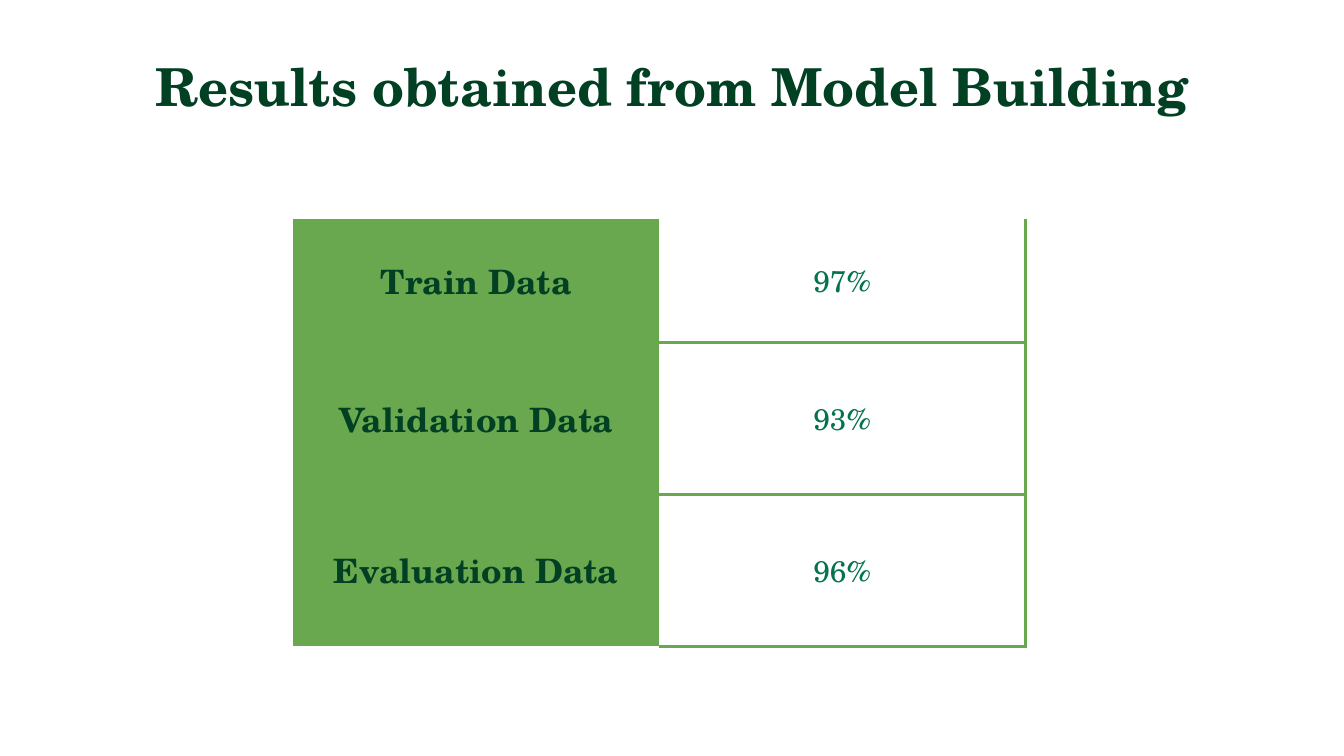
"""Build a slide with a title and a table of model results."""
from lxml import etree
from pptx import Presentation
from pptx.dml.color import RGBColor
from pptx.enum.text import MSO_ANCHOR, PP_ALIGN
from pptx.oxml.ns import qn
from pptx.util import Inches, Pt

CENTER = PP_ALIGN.CENTER
MIDDLE = MSO_ANCHOR.MIDDLE
TOP = MSO_ANCHOR.TOP

TITLE = "Results obtained from Model Building"
RESULTS = [
    ("Train Data", "97%"),
    ("Validation Data", "93%"),
    ("Evaluation Data", "96%"),
]
COLORS = {"dark": "014023", "value": "02734A", "green": "6AA84F", "white": "FFFFFF"}
FONT = "TeX Gyre Schola"
SLIDE_WIDTH = 10
SLIDE_HEIGHT = SLIDE_WIDTH * 9 / 16
TABLE_WIDTH = 5.45
ROW_HEIGHTS = [0.92, 1.13, 1.13]
COLUMN_STYLES = [
    {"size": 18, "bold": True, "color": "dark", "fill": "green"},
    {"size": 16, "bold": False, "color": "value", "fill": "white"},
]
BORDER_WIDTH = 1.5


def format_text(text_frame, size, color, bold):
    paragraph = text_frame.paragraphs[0]
    paragraph.alignment = CENTER
    for run in paragraph.runs:
        run.font.name = FONT
        run.font.size = Pt(size)
        run.font.bold = bold
        run.font.color.rgb = RGBColor.from_string(COLORS[color])


def set_margins(target):
    target.margin_left = target.margin_right = Inches(0.1)
    target.margin_top = target.margin_bottom = Inches(0.1)


def set_borders(cell, visible_sides):
    properties = cell._tc.get_or_add_tcPr()
    for position, side in enumerate("LRTB"):
        line = etree.Element(qn(f"a:ln{side}"), w=str(Pt(BORDER_WIDTH)))
        if side in visible_sides:
            fill = etree.SubElement(line, qn("a:solidFill"))
            etree.SubElement(fill, qn("a:srgbClr"), val=COLORS["green"])
        else:
            etree.SubElement(line, qn("a:noFill"))
        properties.insert(position, line)


def add_title(slide):
    title = slide.shapes.title
    title.left, title.top = Inches(0.78), Inches(0.3)
    title.width, title.height = Inches(8.44), Inches(0.63)
    text_frame = title.text_frame
    text_frame.text = TITLE
    text_frame.word_wrap = True
    text_frame.vertical_anchor = TOP
    set_margins(text_frame)
    format_text(text_frame, 28, "dark", True)


def add_results_table(slide):
    table = slide.shapes.add_table(
        len(RESULTS), len(COLUMN_STYLES), Inches(2.18), Inches(1.63),
        Inches(TABLE_WIDTH), Inches(sum(ROW_HEIGHTS)),
    ).table
    table.first_row = False
    table.horz_banding = False
    for column in table.columns:
        column.width = Inches(TABLE_WIDTH / len(COLUMN_STYLES))
    for row_index, (values, height) in enumerate(zip(RESULTS, ROW_HEIGHTS)):
        table.rows[row_index].height = Inches(height)
        for column_index, (value, style) in enumerate(zip(values, COLUMN_STYLES)):
            cell = table.cell(row_index, column_index)
            cell.text_frame.text = value
            cell.vertical_anchor = MIDDLE
            set_margins(cell)
            cell.fill.solid()
            cell.fill.fore_color.rgb = RGBColor.from_string(COLORS[style["fill"]])
            format_text(cell.text_frame, style["size"], style["color"], style["bold"])
            value_sides = "RTB" if row_index else "RB"
            set_borders(cell, value_sides if column_index else "")


def main():
    presentation = Presentation()
    presentation.slide_width = Inches(SLIDE_WIDTH)
    presentation.slide_height = Inches(SLIDE_HEIGHT)
    slide = presentation.slides.add_slide(presentation.slide_layouts[5])
    add_title(slide)
    add_results_table(slide)
    presentation.save("out.pptx")


if __name__ == "__main__":
    main()
